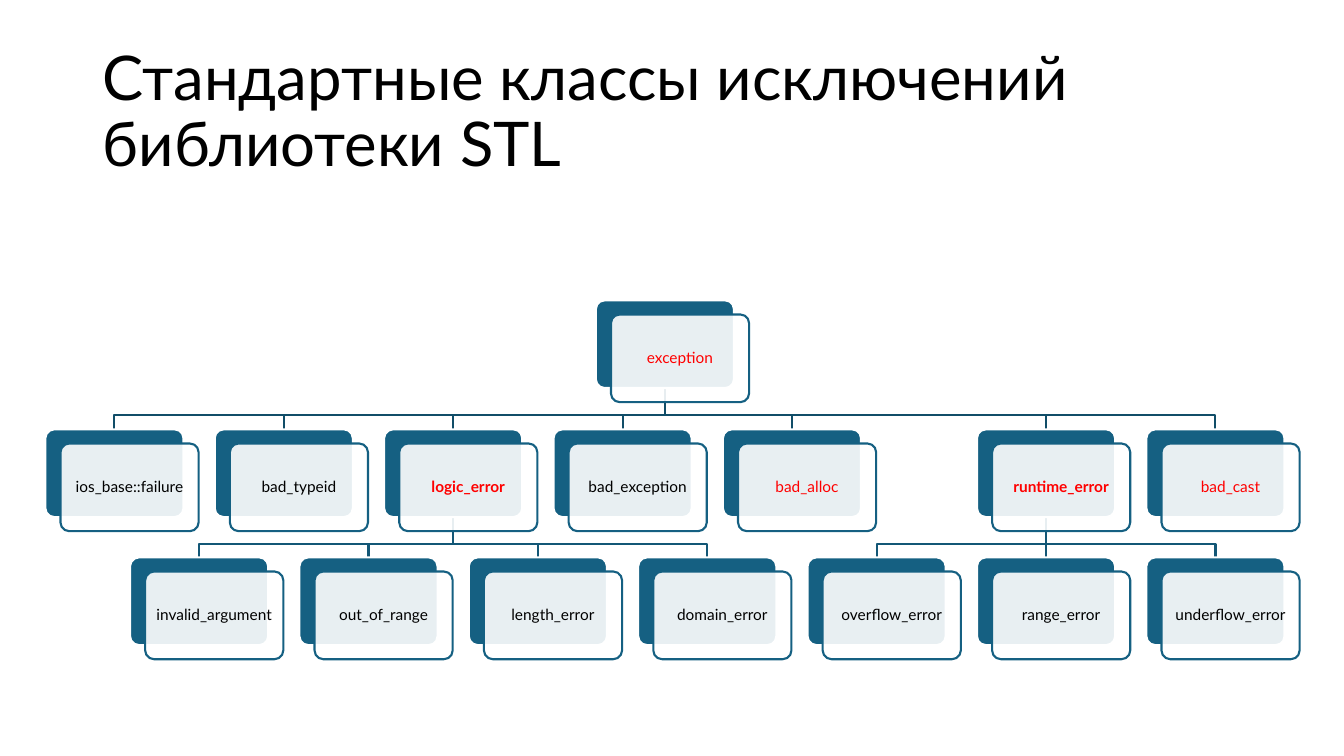
from lxml import etree
from pptx import Presentation
from pptx import util as u
from pptx.dml.color import RGBColor
from pptx.enum import shapes, text
from pptx.oxml import ns

COLORS = {
    "text": "000000",
    "accent": "FF0000",
    "box": "156082",
    "paper": "FFFFFF",
    "upper_link": "114D68",
    "lower_link": "135776",
}
FONT = "Lato"
LEFT, PITCH = 0.45, 1.68
ROW_TOPS = [2.98, 4.26, 5.53]
WIDTH, HEIGHT = 1.37, 0.87
OFFSET_X, OFFSET_Y = 0.15, 0.14
ELBOW = 0.27

TREE = ("exception", 3.25, "accent", False, [
    ("ios_base::failure", 0, "text", False, []),
    ("bad_typeid", 1, "text", False, []),
    ("logic_error", 2, "accent", True, [
        ("invalid_argument", 0.5, "text", False, []),
        ("out_of_range", 1.5, "text", False, []),
        ("length_error", 2.5, "text", False, []),
        ("domain_error", 3.5, "text", False, []),
    ]),
    ("bad_exception", 3, "text", False, []),
    ("bad_alloc", 4, "accent", False, []),
    ("runtime_error", 5.5, "accent", True, [
        ("overflow_error", 4.5, "text", False, []),
        ("range_error", 5.5, "text", False, []),
        ("underflow_error", 6.5, "text", False, []),
    ]),
    ("bad_cast", 6.5, "accent", False, []),
])


def color(name):
    return RGBColor.from_string(COLORS[name])


class ClassDiagram:
    def __init__(self, deck):
        self.page = deck.slides.add_slide(deck.slide_layouts[5])

    def label(self, para, words, size, shade, bold=False):
        para.line_spacing = 0.9
        span = para.add_run()
        span.text = words
        span.font.name = FONT
        span.font.size = u.Pt(size)
        span.font.bold = bold
        span.font.color.rgb = color(shade)

    def title(self, words):
        box = self.page.shapes.title
        box.left, box.top = u.Inches(0.92), u.Inches(0.4)
        box.width, box.height = u.Inches(11.5), u.Inches(1.45)
        frame = box.text_frame
        frame.word_wrap = True
        frame.auto_size = text.MSO_AUTO_SIZE.NONE
        frame.vertical_anchor = text.MSO_ANCHOR.MIDDLE
        para = frame.paragraphs[0]
        para.alignment = text.PP_ALIGN.LEFT
        self.label(para, words, 44, "text")

    def outline(self, shape, shade):
        shape.line.color.rgb = color(shade)
        shape.line.width = u.Pt(1.5)

    def link(self, parent_slot, child_slot, level):
        start, end = (u.Inches(LEFT + slot * PITCH + WIDTH / 2)
                      for slot in (parent_slot, child_slot))
        top = u.Inches(ROW_TOPS[level] + HEIGHT)
        bend = top + u.Inches(ELBOW)
        bottom = u.Inches(ROW_TOPS[level + 1])
        if start == end:
            line = self.page.shapes.add_connector(
                shapes.MSO_CONNECTOR.STRAIGHT, start, top, end, bottom)
            etree.SubElement(line._element.spPr, ns.qn("a:effectLst"))
        else:
            builder = self.page.shapes.build_freeform(start, top)
            builder.add_line_segments(
                [(start, bend), (end, bend), (end, bottom)], close=False)
            line = builder.convert_to_shape()
            line.fill.background()
            line.shadow.inherit = False
        self.outline(line, ["upper_link", "lower_link"][level])

    def card(self, left, top, fill, border):
        box = self.page.shapes.add_shape(
            shapes.MSO_SHAPE.ROUNDED_RECTANGLE, u.Inches(left), u.Inches(top),
            u.Inches(WIDTH), u.Inches(HEIGHT))
        box.adjustments[0] = 0.1
        box.shadow.inherit = False
        box.fill.solid()
        box.fill.fore_color.rgb = color(fill)
        self.outline(box, border)
        return box

    def node(self, name, slot, level, shade, bold):
        left, top = LEFT + slot * PITCH, ROW_TOPS[level]
        self.card(left, top, "box", "paper")
        front = self.card(left + OFFSET_X, top + OFFSET_Y, "paper", "box")
        tint = front._element.spPr.find(ns.qn("a:solidFill"))[0]
        etree.SubElement(tint, ns.qn("a:alpha"), val="90000")
        frame = front.text_frame
        frame.word_wrap = True
        frame.vertical_anchor = text.MSO_ANCHOR.MIDDLE
        frame.margin_left = frame.margin_right = u.Inches(0.07)
        frame.margin_top = frame.margin_bottom = u.Inches(0.07)
        para = frame.paragraphs[0]
        para.alignment = text.PP_ALIGN.CENTER
        self.label(para, name, 11, shade, bold)

    def links(self, branch, level=0):
        for child in branch[4]:
            self.link(branch[1], child[1], level)
            self.links(child, level + 1)

    def nodes(self, branch, level=0):
        name, slot, shade, bold, children = branch
        self.node(name, slot, level, shade, bold)
        for child in children:
            self.nodes(child, level + 1)


def main():
    deck = Presentation()
    deck.slide_width, deck.slide_height = u.Inches(13.33), u.Inches(7.5)
    diagram = ClassDiagram(deck)
    diagram.title("Стандартные классы исключений библиотеки STL")
    diagram.links(TREE)
    diagram.nodes(TREE)
    deck.save("out.pptx")


if __name__ == "__main__":
    main()
